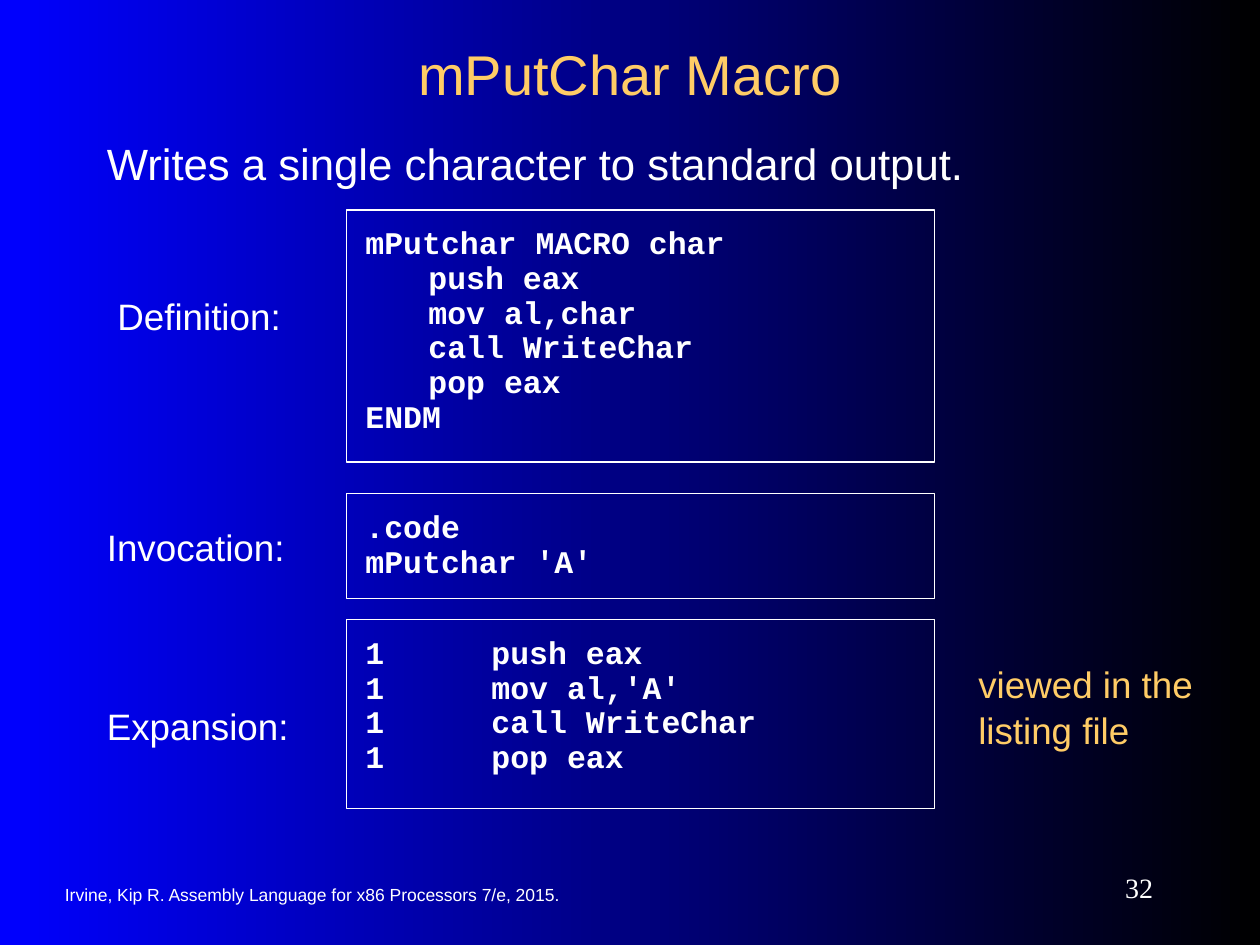
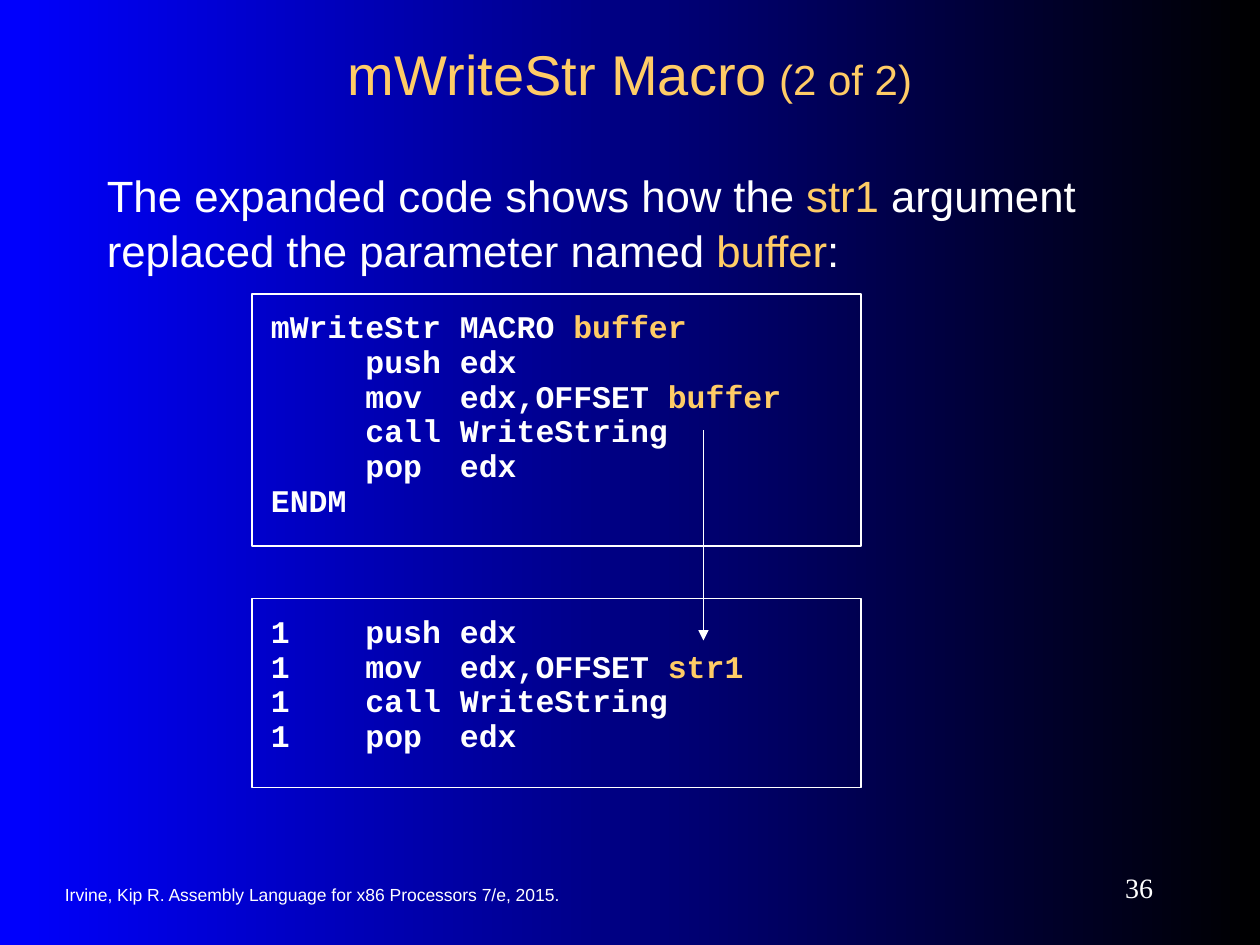
"""Build two slides on assembly-language macros."""
from lxml.etree import SubElement
from pptx import Presentation
from pptx.dml.color import RGBColor
from pptx.enum.shapes import MSO_CONNECTOR, MSO_SHAPE
from pptx.enum.text import MSO_ANCHOR, PP_ALIGN
from pptx.oxml.ns import qn
from pptx.util import Pt

WHITE = RGBColor(0xFF, 0xFF, 0xFF)
GOLD = RGBColor(0xFF, 0xCC, 0x66)
BLUE = RGBColor(0x00, 0x00, 0xFF)
BLACK = RGBColor(0x00, 0x00, 0x00)

CITATION = "Irvine, Kip R. Assembly Language for x86 Processors 7/e, 2015."
BODY_LEFT, BODY_WIDTH, LABEL_WIDTH = 54, 606, 186
INTRO_SIZE, LABEL_SIZE = 25, 21
CODE_PITCH = 19.8

# Text between bars is shown in gold.
SLIDES = [
    {
        "number": 32,
        "title": "mPutChar Macro",
        "part": "",
        "intro": ("Writes a single character to standard output.", 66, 52),
        "code_left": 198,
        "code_width": 336,
        "listings": [
            (120, 144, 36, ["mPutchar MACRO char", "\tpush eax", "\tmov al,char",
                            "\tcall WriteChar", "\tpop eax", "ENDM"]),
            (282, 60, 36, [".code", "mPutchar 'A'"]),
            (354, 108, 72, ["1\tpush eax", "1\tmov al,'A'",
                            "1\tcall WriteChar", "1\tpop eax"]),
        ],
        "labels": [
            ("Definition:", 60, 156, LABEL_WIDTH, 47),
            ("Invocation:", BODY_LEFT, 288, LABEL_WIDTH, 47),
            ("Expansion:", BODY_LEFT, 390, LABEL_WIDTH, 47),
            ("|viewed in the listing file|", 552, 366, 144, 72),
        ],
        "arrows": [],
    },
    {
        "number": 36,
        "title": "mWriteStr Macro",
        "part": " (2 of 2)",
        "intro": ("The expanded code shows how the |str1| argument replaced "
                  "the parameter named |buffer|:", 84, 81),
        "code_left": 144,
        "code_width": 348,
        "listings": [
            (168, 144, 54, ["mWriteStr MACRO |buffer|", "\tpush edx",
                            "\tmov  edx,OFFSET |buffer|", "\tcall WriteString",
                            "\tpop  edx", "ENDM"]),
            (342, 108, 54, ["1\tpush edx", "1\tmov  edx,OFFSET |str1|",
                            "1\tcall WriteString", "1\tpop  edx"]),
        ],
        "labels": [],
        "arrows": [(402, 246, 402, 366)],
    },
]


def style(run, size, color=WHITE, face="Arial", bold=False):
    """Format one run."""
    run.font.size = Pt(size)
    run.font.name = face
    run.font.bold = bold
    run.font.color.rgb = color


def write(paragraph, marked, size, **look):
    """Fill a paragraph, with the words between bars in gold."""
    for index, words in enumerate(marked.split("|")):
        if words:
            run = paragraph.add_run()
            run.text = words
            style(run, size, GOLD if index % 2 else WHITE, **look)


def set_frame(frame, side, top, anchor=MSO_ANCHOR.TOP):
    """Set the wrapping, insets and anchor of a text frame."""
    frame.word_wrap = True
    frame.margin_left = frame.margin_right = Pt(side)
    frame.margin_top = frame.margin_bottom = Pt(top)
    frame.vertical_anchor = anchor


def add_text(slide, box, marked, size, top=10.8, anchor=MSO_ANCHOR.TOP, **look):
    """Add a text box and return its paragraph."""
    frame = slide.shapes.add_textbox(*map(Pt, box)).text_frame
    set_frame(frame, 7.2, top, anchor)
    paragraph = frame.paragraphs[0]
    write(paragraph, marked, size, **look)
    return paragraph


def add_listing(slide, box, tab, lines):
    """Add an outlined box of code with one tab stop."""
    listing = slide.shapes.add_shape(MSO_SHAPE.RECTANGLE, *map(Pt, box))
    listing.shadow.inherit = False
    listing.fill.background()
    listing.line.color.rgb = WHITE
    listing.line.width = Pt(0.75)
    frame = listing.text_frame
    set_frame(frame, 10.8, 9.5)
    for index, line in enumerate(lines):
        paragraph = frame.add_paragraph() if index else frame.paragraphs[0]
        stops = SubElement(paragraph._p.get_or_add_pPr(), qn("a:tabLst"))
        SubElement(stops, qn("a:tab"), pos=str(Pt(tab)), algn="l")
        paragraph.alignment = PP_ALIGN.LEFT
        paragraph.line_spacing = Pt(CODE_PITCH)
        write(paragraph, line, 18, face="Courier New", bold=True)


def add_arrow(slide, ends):
    """Add a thin white arrow."""
    arrow = slide.shapes.add_connector(MSO_CONNECTOR.STRAIGHT, *map(Pt, ends))
    arrow.line.color.rgb = WHITE
    arrow.line.width = Pt(0.75)
    SubElement(arrow.line._get_or_add_ln(), qn("a:tailEnd"), type="triangle")
    SubElement(arrow._element.spPr, qn("a:effectLst"))


def set_title(slide, title, part):
    """Place the title, with a smaller part count after it."""
    heading = slide.shapes.title
    heading.left, heading.top, heading.width, heading.height = map(Pt, (54, 18, 612, 48))
    set_frame(heading.text_frame, 7.2, 3.6, MSO_ANCHOR.MIDDLE)
    paragraph = heading.text_frame.paragraphs[0]
    paragraph.alignment = PP_ALIGN.CENTER
    for words, size in ((title, 32), (part, 24)):
        if words:
            write(paragraph, f"|{words}|", size)


def add_footer(slide, number):
    """Add the citation and the slide number."""
    add_text(slide, (30, 499, 342, 24), CITATION, 10, 3.6, MSO_ANCHOR.MIDDLE)
    page = add_text(slide, (588, 492, 78, 30), str(number), 16, 3.6,
                    MSO_ANCHOR.MIDDLE, face="Times New Roman")
    page.alignment = PP_ALIGN.RIGHT


def build_slide(deck, content):
    """Build one slide from its content."""
    slide = deck.slides.add_slide(deck.slide_layouts[5])
    set_title(slide, content["title"], content["part"])
    add_footer(slide, content["number"])
    intro, top, height = content["intro"]
    add_text(slide, (BODY_LEFT, top, BODY_WIDTH, height), intro, INTRO_SIZE).line_spacing = 1.05
    for top, height, tab, lines in content["listings"]:
        add_listing(slide, (content["code_left"], top, content["code_width"], height), tab, lines)
    for label, *box in content["labels"]:
        add_text(slide, box, label, LABEL_SIZE).line_spacing = 1.05
    for ends in content["arrows"]:
        add_arrow(slide, ends)


def main():
    """Build and save the deck."""
    deck = Presentation()
    deck.slide_width, deck.slide_height = Pt(720), Pt(540)
    backdrop = deck.slide_master.background.fill
    backdrop.gradient()
    backdrop.gradient_angle = 0
    for stop, color in zip(backdrop.gradient_stops, (BLUE, BLACK)):
        stop.color.rgb = color
    for content in SLIDES:
        build_slide(deck, content)
    deck.save("out.pptx")


if __name__ == "__main__":
    main()
